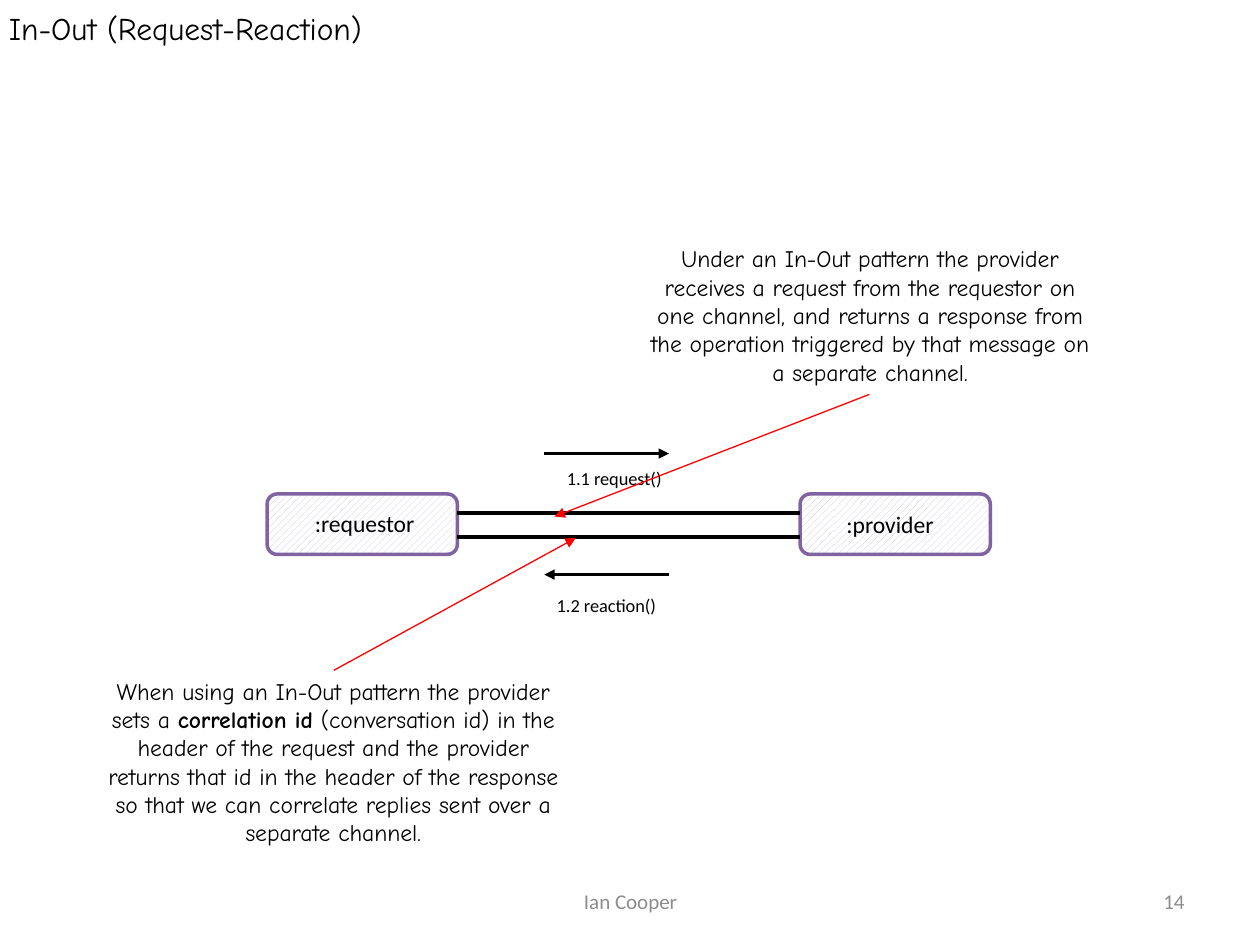
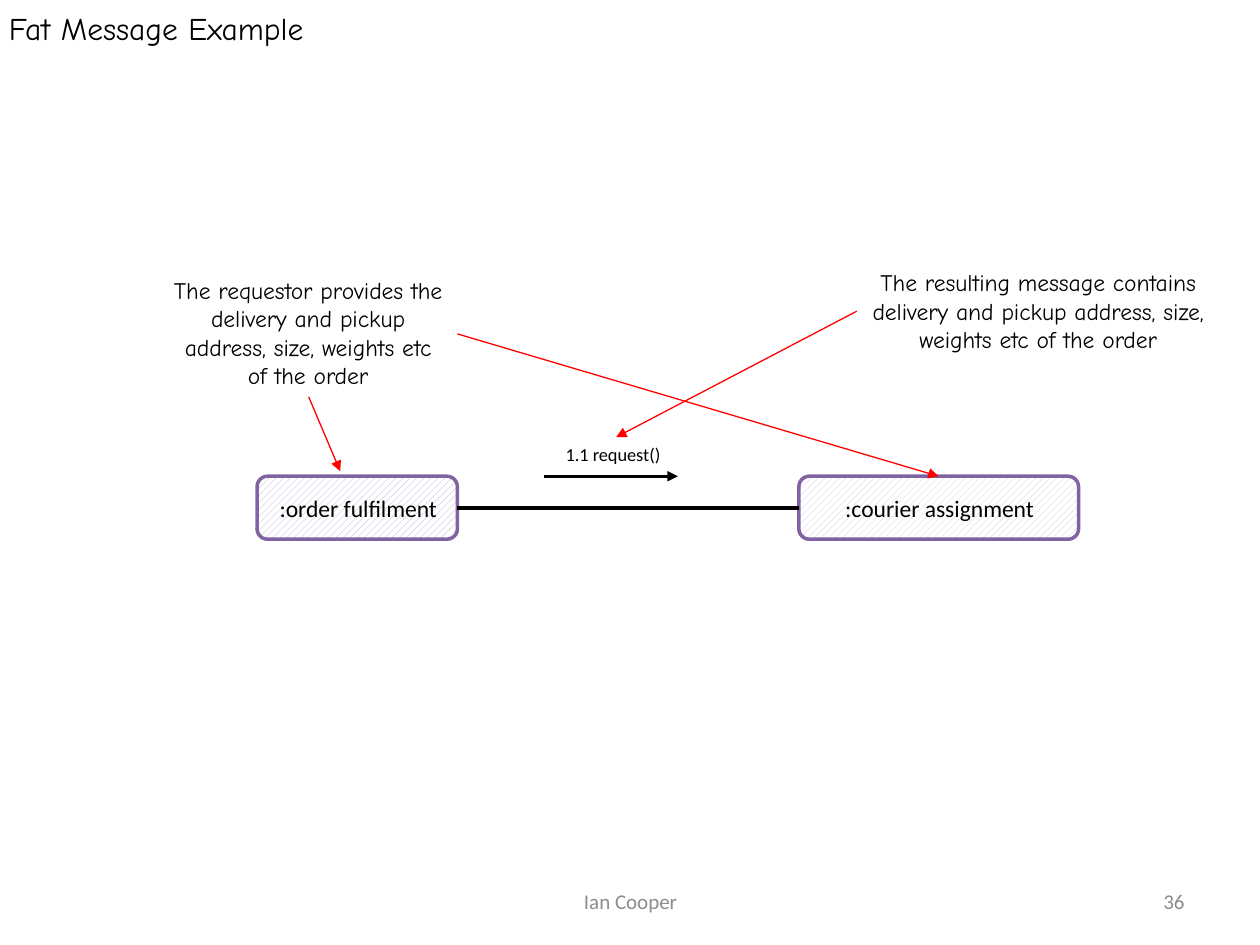
from collections import namedtuple

from lxml import etree
from pptx import Presentation
from pptx.dml.color import RGBColor
from pptx.enum.dml import MSO_PATTERN
from pptx.enum.shapes import MSO_CONNECTOR, MSO_SHAPE
from pptx.enum.text import MSO_ANCHOR, MSO_AUTO_SIZE, PP_ALIGN
from pptx.oxml.ns import qn
from pptx.util import Inches, Pt

BLACK = RGBColor(0x00, 0x00, 0x00)
WHITE = RGBColor(0xFF, 0xFF, 0xFF)
GREY = RGBColor(0x8C, 0x8C, 0x8C)
RED = RGBColor(0xFF, 0x00, 0x00)
PURPLE = RGBColor(0x80, 0x64, 0xA2)
LILAC = RGBColor(0xCC, 0xC1, 0xDA)
DARK_LILAC = RGBColor(0xB3, 0xA2, 0xC7)

HAND_FONT = "Comic Neue"
BODY_FONT = "Calibri"
BODY_SIZE = 13.5

Box = namedtuple("Box", "left top width height")


def within(box, left, top, width, height):
    """Box at an offset from the corner of another box."""
    return Box(box.left + left, box.top + top, width, height)


def add_text(slide, box, runs, *, size=BODY_SIZE, font=BODY_FONT, color=BLACK,
             align=PP_ALIGN.LEFT, anchor=MSO_ANCHOR.TOP, inset=None, grow=True):
    """Text box; runs is a string or a list of (text, bold) pairs."""
    text_box = slide.shapes.add_textbox(*map(Inches, box))
    frame = text_box.text_frame
    frame.word_wrap = True
    frame.auto_size = MSO_AUTO_SIZE.SHAPE_TO_FIT_TEXT if grow else MSO_AUTO_SIZE.NONE
    frame.vertical_anchor = anchor
    if inset is not None:
        frame.margin_left = frame.margin_right = Inches(inset)
        frame.margin_top = frame.margin_bottom = Inches(inset)
    paragraph = frame.paragraphs[0]
    paragraph.alignment = align
    for text, bold in [(runs, False)] if isinstance(runs, str) else runs:
        run = paragraph.add_run()
        run.text = text
        run.font.name = font
        run.font.size = Pt(size)
        run.font.bold = bold
        run.font.color.rgb = color
    return text_box


def add_line(slide, box, start, end, *, color=BLACK, width=1.5, arrow=True):
    """Straight line between two points given relative to the box."""
    points = [Inches(corner + offset) for point in (start, end)
              for corner, offset in zip(box, point)]
    connector = slide.shapes.add_connector(MSO_CONNECTOR.STRAIGHT, *points)
    connector.line.color.rgb = color
    connector.line.width = Pt(width)
    if arrow:
        line = connector.line._get_or_add_ln()
        etree.SubElement(line, qn("a:tailEnd"), type="triangle")
    etree.SubElement(connector._element.spPr, qn("a:effectLst"))


def add_channel(slide, box, left, right, y):
    add_line(slide, box, (left, y), (right, y), width=2.5, arrow=False)


def add_pointer(slide, box, start, end):
    add_line(slide, box, start, end, color=RED, width=0.75)


def add_callout(slide, box, runs):
    add_text(slide, box, runs, font=HAND_FONT, align=PP_ALIGN.CENTER)


def add_message_label(slide, box, text):
    add_text(slide, box, text, size=10.5)


def hatch(shape, color):
    shape.fill.patterned()
    shape.fill.pattern = MSO_PATTERN.WIDE_UPWARD_DIAGONAL
    shape.fill.fore_color.rgb = color
    shape.fill.back_color.rgb = WHITE


def add_participant(slide, box, name, label_offset, label_width, color=LILAC):
    """Hatched rounded box with its name; returns the name's text box."""
    shape = slide.shapes.add_shape(MSO_SHAPE.ROUNDED_RECTANGLE, *map(Inches, box))
    shape.shadow.inherit = False
    hatch(shape, color)
    shape.line.color.rgb = PURPLE
    shape.line.width = Pt(2)
    return add_text(slide, within(box, *label_offset, label_width, 0.33), name)


def add_frame(slide, title, number):
    """Title and footer shared by the slides."""
    add_text(slide, Box(0, 0, 10, 0.45), title, size=18, font=HAND_FONT, inset=0.07)
    for left, width, text, align in (
        (3.42, 3.17, "Ian Cooper", PP_ALIGN.CENTER),
        (7.17, 2.33, str(number), PP_ALIGN.RIGHT),
    ):
        add_text(slide, Box(left, 6.95, width, 0.4), text, size=12, color=GREY,
                 align=align, anchor=MSO_ANCHOR.MIDDLE, grow=False)


def draw_in_out(slide, box):
    # Participants
    add_participant(slide, within(box, 1.38, 2.03, 1.51, 0.48),
                    ":requestor", (0.28, 0.07), 1.02)
    provider_label = add_participant(slide, within(box, 5.61, 2.03, 1.51, 0.48),
                                     ":provider", (0.27, 0.08), 0.96)
    hatch(provider_label, LILAC)

    # Request and reaction channels
    for y in (2.18, 2.37):
        add_channel(slide, box, 2.89, 5.61, y)
    add_line(slide, box, (3.58, 1.71), (4.57, 1.71))
    add_message_label(slide, within(box, 3.66, 1.77, 0.98, 0.28), "1.1 request()")
    add_line(slide, box, (4.57, 2.67), (3.58, 2.67))
    add_message_label(slide, within(box, 3.58, 2.78, 1.3, 0.28), "1.2 reaction()")

    # Callouts
    add_callout(slide, within(box, 4.26, 0, 3.81, 1.24),
                "Under an In-Out pattern the provider receives a request from the "
                "requestor on one channel, and returns a response from the operation "
                "triggered by that message on a separate channel.")
    add_pointer(slide, box, (6.16, 1.24), (3.66, 2.21))
    add_callout(slide, within(box, 0, 3.43, 3.81, 1.69), [
        ("When using an In-Out pattern the provider sets a ", False),
        ("correlation id", True),
        (" (conversation id) in the header of the request and the provider returns "
         "that id in the header of the response so that we can correlate replies "
         "sent over a separate channel.", False),
    ])
    add_pointer(slide, box, (1.91, 3.43), (3.83, 2.38))


def draw_fat_message(slide, box):
    # Participants
    add_participant(slide, within(box, 0.77, 1.7, 1.59, 0.5),
                    ":order fulfilment", (0.08, 0.09), 1.51, DARK_LILAC)
    add_participant(slide, within(box, 5.07, 1.7, 2.22, 0.5),
                    ":courier assignment", (0.27, 0.09), 1.81)

    # Request channel
    add_channel(slide, box, 2.36, 5.07, 1.95)
    add_line(slide, box, (3.05, 1.7), (4.11, 1.7))
    add_message_label(slide, within(box, 3.12, 1.39, 0.98, 0.28), "1.1 request()")

    # Callouts
    add_callout(slide, within(box, 0, 0.06, 2.35, 1.01),
                "The requestor provides the delivery and pickup address, size, "
                "weights etc of the order")
    add_pointer(slide, box, (1.18, 1.07), (1.43, 1.66))
    add_pointer(slide, box, (2.36, 0.57), (6.18, 1.7))
    add_callout(slide, within(box, 5.53, 0, 2.88, 0.78),
                "The resulting message contains delivery and pickup address, size, "
                "weights etc of the order")
    add_pointer(slide, box, (5.53, 0.39), (3.62, 1.39))


def main():
    presentation = Presentation()
    presentation.slide_width = Inches(10)
    presentation.slide_height = Inches(7.5)
    blank = presentation.slide_layouts[6]
    for title, number, draw, box in (
        ("In-Out (Request-Reaction)", 14, draw_in_out, Box(0.74, 1.89, 8.07, 5.12)),
        ("Fat Message Example", 36, draw_fat_message, Box(1.27, 2.08, 8.41, 2.2)),
    ):
        slide = presentation.slides.add_slide(blank)
        add_frame(slide, title, number)
        draw(slide, box)
    presentation.save("out.pptx")


if __name__ == "__main__":
    main()
